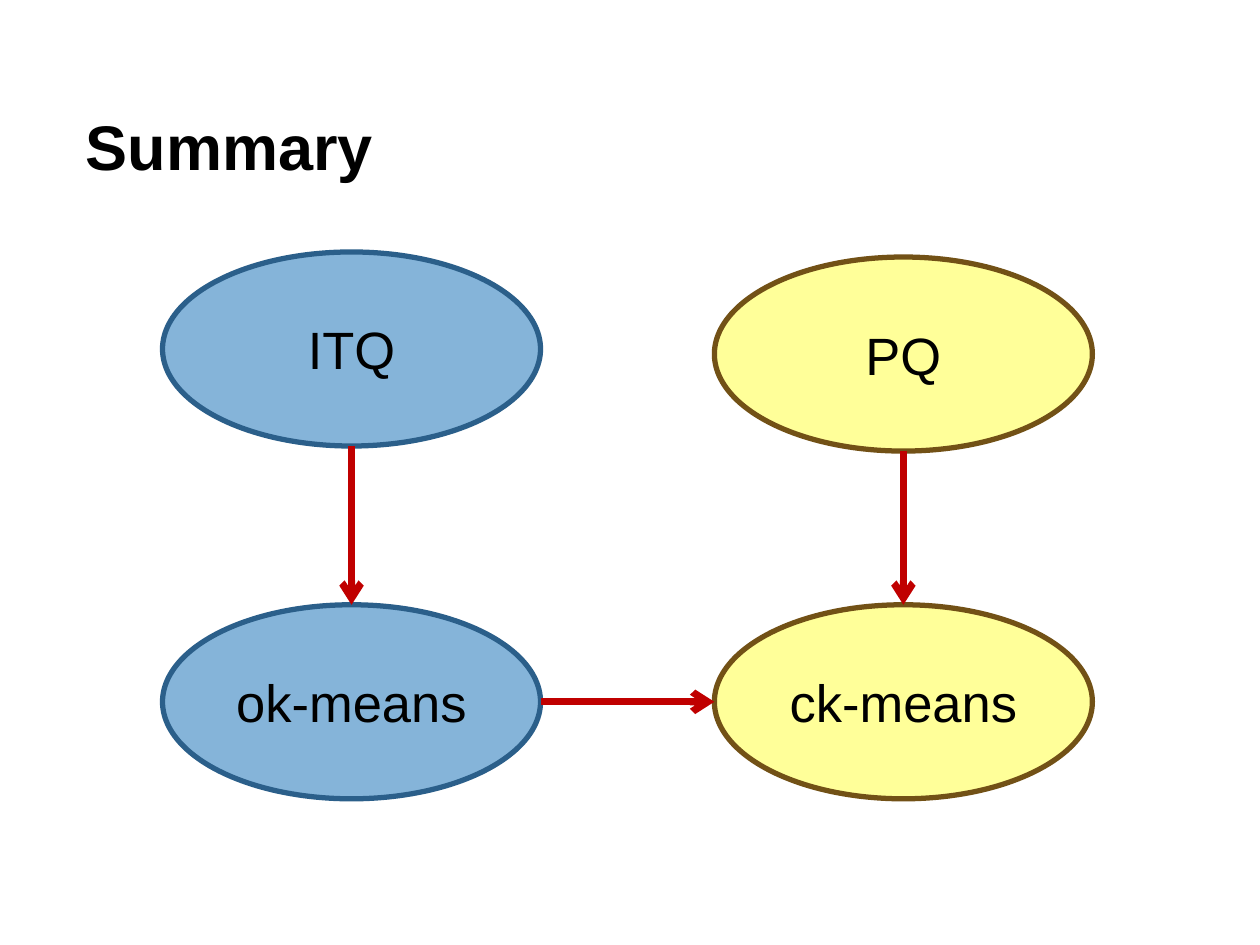
from lxml.etree import SubElement
from pptx import Presentation
from pptx.dml.color import RGBColor
from pptx.enum.shapes import MSO_CONNECTOR as CONN, MSO_SHAPE as SHAPE
from pptx.enum.text import MSO_ANCHOR as ANCHOR, MSO_AUTO_SIZE as AUTO, PP_ALIGN as ALIGN
from pptx.oxml.ns import qn
from pptx.util import Inches, Pt

NODE_W, NODE_H = 3, 1.54
LEFT_X, RIGHT_X = 1.29, 5.67
BOTTOM_Y = 4.8
BLUE = ("85B4D9", "2B5F8A")
YELLOW = ("FFFF99", "725116")


def color(fmt, value):
    fmt.rgb = RGBColor.from_string(value)


def set_font(p, size, bold=False):
    p.font.name = "Arial"
    p.font.size = Pt(size)
    p.font.bold = bold
    color(p.font.color, "000000")


def add_title(s, text):
    sp = s.shapes.title
    sp.left, sp.top = Inches(0.33), Inches(0.3)
    sp.width, sp.height = Inches(9.42), Inches(1.25)
    tf = sp.text_frame
    tf.text = text
    tf.auto_size = AUTO.NONE
    tf.vertical_anchor = ANCHOR.BOTTOM
    tf.margin_left = tf.margin_right = Inches(0.1)
    tf.margin_top = tf.margin_bottom = Inches(0.1)
    p = tf.paragraphs[0]
    p.alignment = ALIGN.LEFT
    pPr = p._p.get_or_add_pPr()
    pPr.set("marL", "0")
    pPr.set("indent", str(Inches(0.25)))
    set_font(p, 36, bold=True)


def add_node(s, text, x, y, colors):
    fill, line = colors
    sp = s.shapes.add_shape(SHAPE.OVAL, Inches(x), Inches(y), Inches(NODE_W), Inches(NODE_H))
    sp.shadow.inherit = False
    sp.fill.solid()
    color(sp.fill.fore_color, fill)
    color(sp.line.color, line)
    sp.line.width = Pt(3)
    tf = sp.text_frame
    tf.text = text
    tf.vertical_anchor = ANCHOR.MIDDLE
    p = tf.paragraphs[0]
    p.alignment = ALIGN.CENTER
    set_font(p, 30)
    return sp


def add_arrow(s, start, end):
    cxn = s.shapes.add_connector(CONN.STRAIGHT, *start, *end)
    color(cxn.line.color, "C00000")
    cxn.line.width = Pt(4)
    SubElement(cxn.line._get_or_add_ln(), qn("a:tailEnd"), type="arrow")
    SubElement(cxn._element.spPr, qn("a:effectLst"))


def add_down_arrow(s, upper, lower):
    x = upper.left + upper.width // 2
    add_arrow(s, (x, upper.top + upper.height), (x, lower.top))


def add_right_arrow(s, left, right):
    y = left.top + left.height // 2
    add_arrow(s, (left.left + left.width, y), (right.left, y))


def main():
    prs = Presentation()
    prs.slide_width, prs.slide_height = Inches(10), Inches(7.5)
    s = prs.slides.add_slide(prs.slide_layouts[5])
    add_title(s, "Summary")
    ok_means = add_node(s, "ok-means", LEFT_X, BOTTOM_Y, BLUE)
    itq = add_node(s, "ITQ", LEFT_X, 2, BLUE)
    ck_means = add_node(s, "ck-means", RIGHT_X, BOTTOM_Y, YELLOW)
    pq = add_node(s, "PQ", RIGHT_X, 2.04, YELLOW)
    add_down_arrow(s, itq, ok_means)
    add_down_arrow(s, pq, ck_means)
    add_right_arrow(s, ok_means, ck_means)
    prs.save("out.pptx")


if __name__ == "__main__":
    main()
